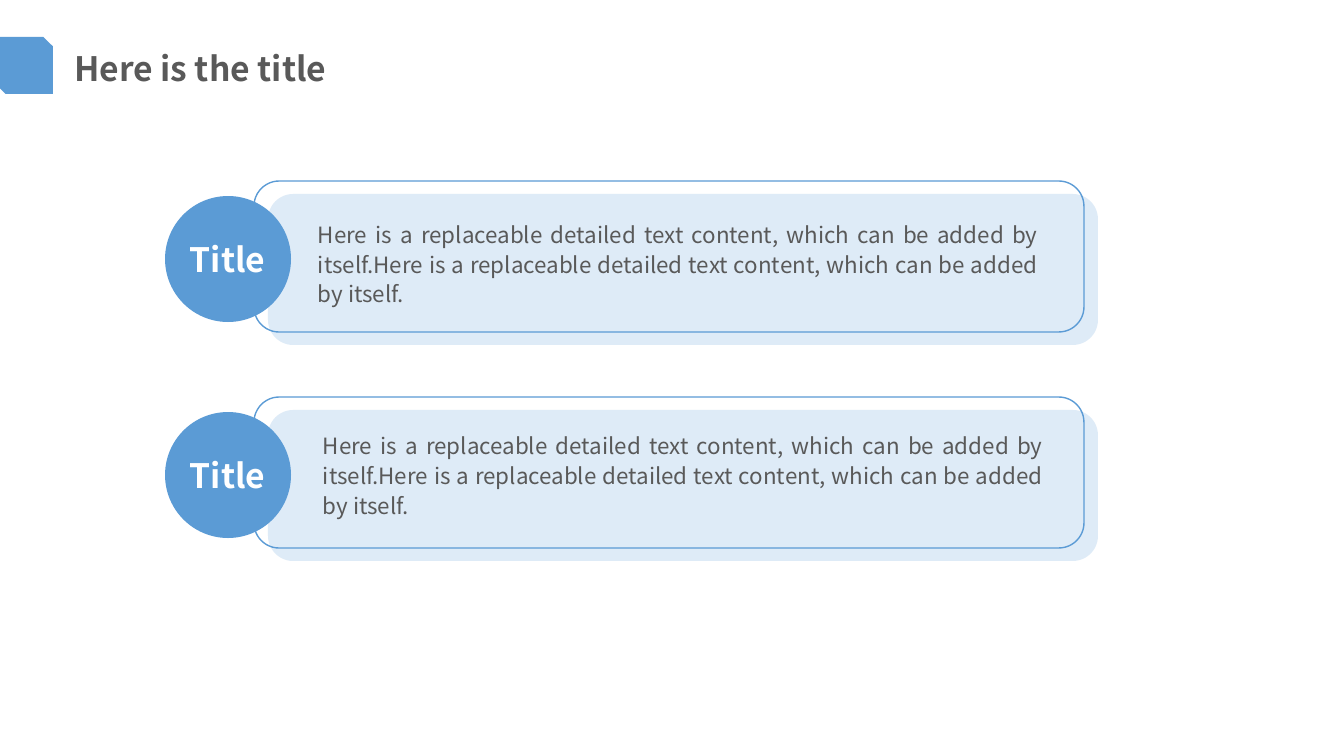
"""Build a slide with a heading and two titled text banners."""
from pptx import Presentation
from pptx.dml.color import RGBColor
from pptx.enum.shapes import MSO_SHAPE
from pptx.enum.text import MSO_ANCHOR, MSO_AUTO_SIZE, PP_ALIGN
from pptx.util import Emu, Pt

ROUNDED, OVAL, SNIPPED = (MSO_SHAPE.ROUNDED_RECTANGLE, MSO_SHAPE.OVAL,
                          MSO_SHAPE.SNIP_2_DIAG_RECTANGLE)
TOP, FIT = MSO_ANCHOR.TOP, MSO_AUTO_SIZE.SHAPE_TO_FIT_TEXT
LEFT, JUSTIFY = PP_ALIGN.LEFT, PP_ALIGN.JUSTIFY

HEADING = "Here is the title"
DETAIL = "Here is a replaceable detailed text content, which can be added by itself."
BANNERS = [
    {"title": "Title", "detail": DETAIL * 2, "detail_at": (308, 214)},
    {"title": "Title", "detail": DETAIL * 2, "detail_at": (313, 425)},
]

FONT = "Noto Sans CJK SC"
BLUE, PALE, GREY, WHITE = "5B9BD5", "DEEBF7", "595959", "FFFFFF"
EMU_PER_PX = 914400 / 100.8
SLIDE_SIZE = (1344, 756)
BANNER_TOP, BANNER_PITCH = 181, 216
BANNER_SIZE = (830, 151)


def px(length):
    return Emu(round(length * EMU_PER_PX))


def color(hex_string):
    return RGBColor.from_string(hex_string)


def add_part(kind, left, top, width, height, fill=None, line=None):
    part = slide.shapes.add_shape(kind, px(left), px(top), px(width), px(height))
    part.shadow.inherit = False
    if fill:
        part.fill.solid()
        part.fill.fore_color.rgb = color(fill)
    else:
        part.fill.background()
    if line:
        part.line.color.rgb = color(line)
        part.line.width = Pt(1)
    else:
        part.line.fill.background()


def write(holder, text, size=24, ink=GREY, bold=True, align=LEFT, spacing=1.0, wrap=True):
    frame = holder.text_frame
    frame.word_wrap = wrap
    frame.auto_size = FIT
    frame.vertical_anchor = TOP
    paragraph = frame.paragraphs[0]
    paragraph.alignment = align
    paragraph.line_spacing = spacing
    run = paragraph.add_run()
    run.text = text
    run.font.name = FONT
    run.font.size = Pt(size)
    run.font.bold = bold
    run.font.color.rgb = color(ink)


def add_label(left, top, width, height, text, **text_format):
    label = slide.shapes.add_textbox(px(left), px(top), px(width), px(height))
    write(label, text, **text_format)


deck = Presentation()
deck.slide_width, deck.slide_height = map(px, SLIDE_SIZE)
slide = deck.slides.add_slide(deck.slide_layouts[5])

heading = slide.shapes.title
heading.left, heading.top, heading.width, heading.height = map(px, (64, 43, 280, 51))
write(heading, HEADING, wrap=False)
add_part(SNIPPED, -4, 37, 57, 57, fill=BLUE)

for index, banner in enumerate(BANNERS):
    top = BANNER_TOP + index * BANNER_PITCH
    add_part(ROUNDED, 268, top + 13, *BANNER_SIZE, fill=PALE)
    add_part(OVAL, 165, top + 15, 126, 126, fill=BLUE)
    add_part(ROUNDED, 254, top, *BANNER_SIZE, line=BLUE)
    add_label(180, top + 53, 111, 51, banner["title"], ink=WHITE)
    add_label(*banner["detail_at"], 740, 100, banner["detail"],
              size=16, bold=False, align=JUSTIFY, spacing=1.1)

deck.save("out.pptx")
